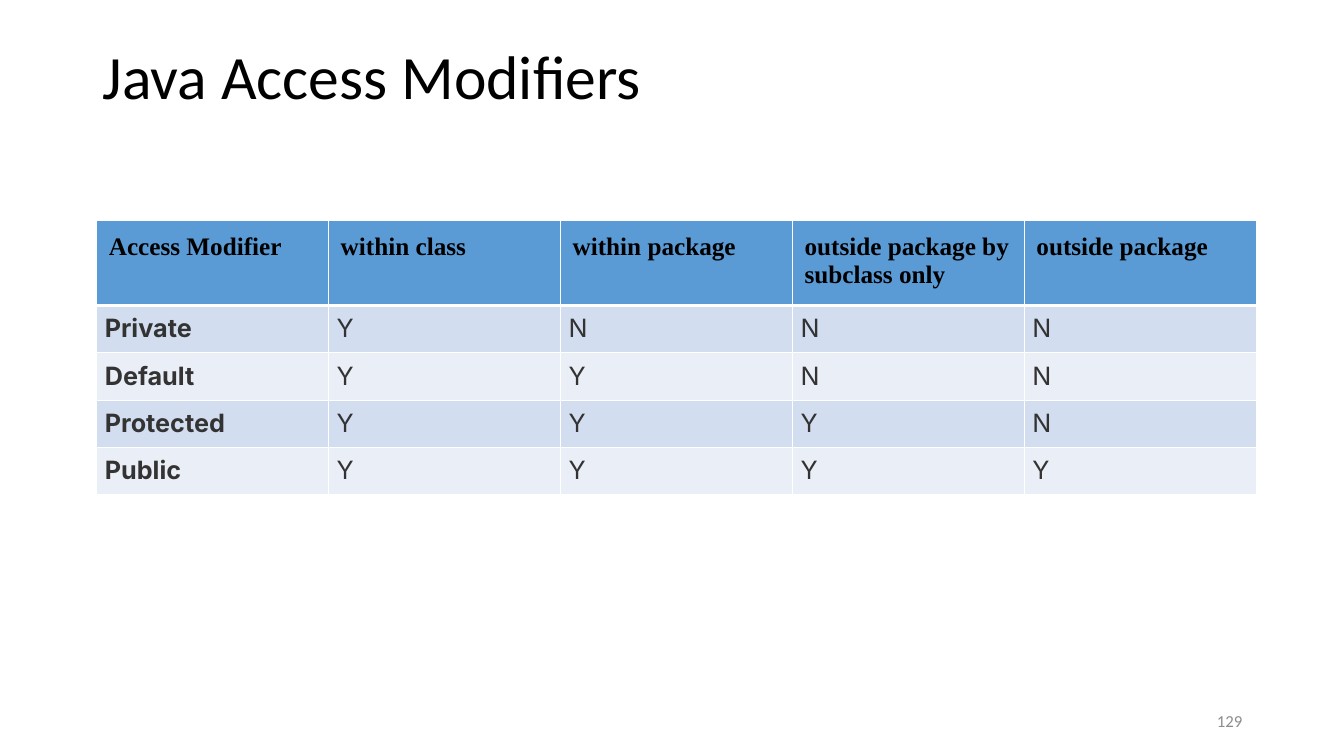
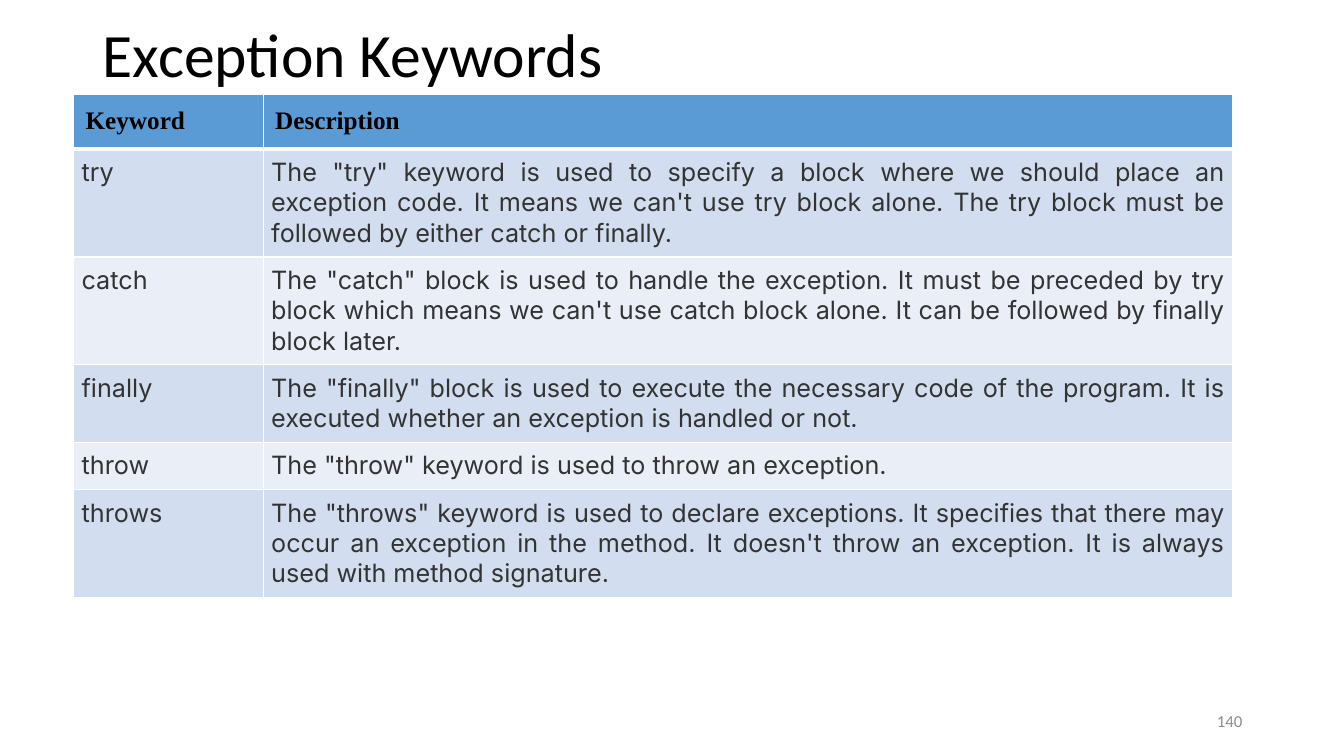
from lxml import etree
from pptx import Presentation
from pptx.dml.color import RGBColor
from pptx.enum.text import MSO_ANCHOR, PP_ALIGN
from pptx.oxml.ns import qn
from pptx.util import Inches, Pt

LEFT, RIGHT, JUST = PP_ALIGN.LEFT, PP_ALIGN.RIGHT, PP_ALIGN.JUSTIFY
MIDDLE = MSO_ANCHOR.MIDDLE

COLORS = {
    "title": "000000",
    "head": "5B9BD5",
    "odd": "D2DEEF",
    "even": "EAEFF7",
    "body": "333333",
    "line": "FFFFFF",
    "page": "8C8C8C",
}

SLIDES = [
    {
        "title": "Java Access Modifiers",
        "top": 0.39,
        "page": "129",
        "at": (0.96, 2.19),
        "cols": [2.3] * 5,
        "heights": [0.8] + [0.47] * 4,
        "bold": True,
        "rows": [
            ("Access Modifier", "within class", "within package",
             "outside package by subclass only", "outside package"),
            ("Private", "Y", "N", "N", "N"),
            ("Default", "Y", "Y", "N", "N"),
            ("Protected", "Y", "Y", "Y", "N"),
            ("Public", "Y", "Y", "Y", "Y"),
        ],
    },
    {
        "title": "Exception Keywords",
        "top": 0.17,
        "page": "140",
        "at": (0.73, 0.94),
        "cols": [1.88, 9.62],
        "heights": [0.52, 1.07, 1.07, 0.77, 0.47, 1.07],
        "bold": False,
        "rows": [
            ("Keyword", "Description"),
            ("try", "The \"try\" keyword is used to specify a block where we "
             "should place an exception code. It means we can't use try block "
             "alone. The try block must be followed by either catch or finally."),
            ("catch", "The \"catch\" block is used to handle the exception. It "
             "must be preceded by try block which means we can't use catch "
             "block alone. It can be followed by finally block later."),
            ("finally", "The \"finally\" block is used to execute the necessary "
             "code of the program. It is executed whether an exception is "
             "handled or not."),
            ("throw", "The \"throw\" keyword is used to throw an exception."),
            ("throws", "The \"throws\" keyword is used to declare exceptions. It "
             "specifies that there may occur an exception in the method. It "
             "doesn't throw an exception. It is always used with method "
             "signature."),
        ],
    },
]


def rgb(name):
    return RGBColor.from_string(COLORS[name])


def write(frame, text, font="Calibri", size=18, color="body", bold=False,
          align=LEFT, space=None):
    para = frame.paragraphs[0]
    para.alignment = align
    para.line_spacing = space
    run = para.add_run()
    run.text = text
    run.font.name = font
    run.font.size = Pt(size)
    run.font.bold = bold
    run.font.color.rgb = rgb(color)


def add_text(slide, text, left, top, width, height, **style):
    frame = slide.shapes.add_textbox(
        Inches(left), Inches(top), Inches(width), Inches(height)).text_frame
    frame.word_wrap = True
    frame.vertical_anchor = MIDDLE
    write(frame, text, **style)


def set_lines(cell, widths):
    props = cell._tc.get_or_add_tcPr()
    for index, (side, width) in enumerate(widths.items()):
        line = etree.Element(qn("a:ln" + side), w=str(Pt(width)))
        fill = etree.SubElement(line, qn("a:solidFill"))
        etree.SubElement(fill, qn("a:srgbClr"), val=COLORS["line"])
        props.insert(index, line)


def fill_cell(cell, text, row, bold):
    head = row == 0
    pad = Inches(0.12 if head else 0.08)
    cell.margin_left = cell.margin_right = pad
    cell.margin_top = cell.margin_bottom = pad
    cell.fill.solid()
    cell.fill.fore_color.rgb = rgb("head" if head else "odd" if row % 2 else "even")
    set_lines(cell, {"L": 1, "R": 1, "T": 3 if row == 1 else 1, "B": 3 if head else 1})
    if head:
        write(cell.text_frame, text, font="Times New Roman", color="title", bold=True)
    else:
        write(cell.text_frame, text, font="Inter", bold=bold, align=JUST)


def add_grid(slide, data):
    rows, cols, heights = data["rows"], data["cols"], data["heights"]
    left, top = data["at"]
    table = slide.shapes.add_table(
        len(rows), len(cols), Inches(left), Inches(top),
        Inches(sum(cols)), Inches(sum(heights))).table
    table.horz_banding = False
    for col, width in zip(table.columns, cols):
        col.width = Inches(width)
    for r, texts in enumerate(rows):
        table.rows[r].height = Inches(heights[r])
        for c, text in enumerate(texts):
            fill_cell(table.cell(r, c), text, r, data["bold"] and c == 0)


def main():
    deck = Presentation()
    deck.slide_width, deck.slide_height = Inches(13.33), Inches(7.5)
    for data in SLIDES:
        slide = deck.slides.add_slide(deck.slide_layouts[6])
        add_text(slide, data["title"], 0.92, data["top"], 11.5, 0.8,
                 size=44, color="title", space=0.9)
        add_grid(slide, data)
        add_text(slide, data["page"], 9.42, 6.95, 3, 0.4,
                 size=12, color="page", align=RIGHT)
    deck.save("out.pptx")


if __name__ == "__main__":
    main()
